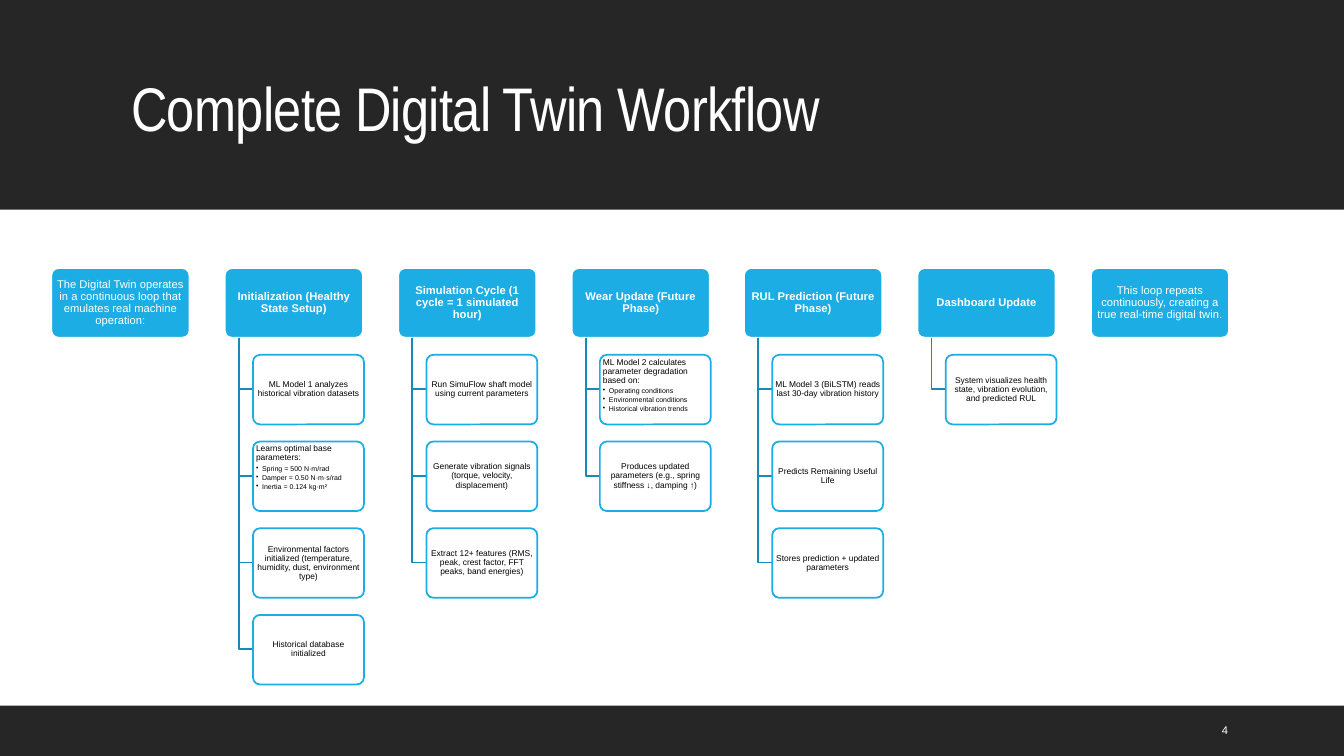
from dataclasses import dataclass

from lxml import etree
from pptx import Presentation
from pptx import util as u
from pptx.dml.color import RGBColor
from pptx.enum import shapes, text
from pptx.oxml import ns
from pptx.shapes.autoshape import Shape
from pptx.slide import Slide
from pptx.text.text import TextFrame

EMU_PER_PX = 9144
SLIDE_WIDTH, SLIDE_HEIGHT = 1333, 750
COLOURS = {
    "band": "262626",
    "stage": "1CADE4",
    "branch": "168BB7",
    "white": "FFFFFF",
    "black": "000000",
}
FIRST_LEFT, LAST_LEFT, STAGE_TOP = 51, 1082, 266
STAGE_WIDTH, STEP_WIDTH, BOX_HEIGHT = 137, 110, 69
STEP_TOP, STEP_PITCH = 352, 86
SPINE_OFFSET, STEP_OFFSET = 14, 28


@dataclass(frozen=True)
class Box:
    left: int
    top: int
    width: int
    height: int


@dataclass(frozen=True)
class Step:
    caption: str
    bullets: tuple[str, ...] = ()


@dataclass(frozen=True)
class Stage:
    heading: str
    steps: tuple[Step, ...] = ()


STAGES = (
    Stage("The Digital Twin operates in a continuous loop that emulates real machine operation:"),
    Stage("Initialization (Healthy State Setup)", (
        Step("ML Model 1 analyzes historical vibration datasets"),
        Step("Learns optimal base parameters:",
             ("Spring = 500 N·m/rad", "Damper = 0.50 N·m·s/rad", "Inertia = 0.124 kg·m²")),
        Step("Environmental factors initialized (temperature, humidity, dust, environment type)"),
        Step("Historical database initialized"),
    )),
    Stage("Simulation Cycle (1 cycle = 1 simulated hour)", (
        Step("Run SimuFlow shaft model using current parameters"),
        Step("Generate vibration signals (torque, velocity, displacement)"),
        Step("Extract 12+ features (RMS, peak, crest factor, FFT peaks, band energies)"),
    )),
    Stage("Wear Update (Future Phase)", (
        Step("ML Model 2 calculates parameter degradation based on:",
             ("Operating conditions", "Environmental conditions", "Historical vibration trends")),
        Step("Produces updated parameters (e.g., spring stiffness ↓, damping ↑)"),
    )),
    Stage("RUL Prediction (Future Phase)", (
        Step("ML Model 3 (BiLSTM) reads last 30-day vibration history"),
        Step("Predicts Remaining Useful Life"),
        Step("Stores prediction + updated parameters"),
    )),
    Stage("Dashboard Update", (
        Step("System visualizes health state, vibration evolution, and predicted RUL"),
    )),
    Stage("This loop repeats continuously, creating a true real-time digital twin."),
)


def px(value: int) -> u.Emu:
    return u.Emu(value * EMU_PER_PX)


def colour(name: str) -> RGBColor:
    return RGBColor.from_string(COLOURS[name])


def place(shape: Shape, box: Box) -> None:
    shape.left, shape.top = px(box.left), px(box.top)
    shape.width, shape.height = px(box.width), px(box.height)


def add_paragraph(frame: TextFrame, content: str, size: float, colour_name: str,
                  first: bool = True, bold: bool = False, font: str = "Arial"):
    paragraph = frame.paragraphs[0] if first else frame.add_paragraph()
    paragraph.text = content
    paragraph.line_spacing = 0.9
    paragraph.font.name = font
    paragraph.font.size = u.Pt(size)
    paragraph.font.bold = bold
    paragraph.font.color.rgb = colour(colour_name)
    return paragraph


def add_band(slide: Slide, box: Box) -> None:
    band = slide.shapes.add_shape(shapes.MSO_SHAPE.RECTANGLE, 0, 0, 0, 0)
    place(band, box)
    band.shadow.inherit = False
    band.fill.solid()
    band.fill.fore_color.rgb = colour("band")
    band.line.fill.background()


def add_card(slide: Slide, box: Box, fill: str, line: str, inset: int) -> Shape:
    card = slide.shapes.add_shape(shapes.MSO_SHAPE.ROUNDED_RECTANGLE, 0, 0, 0, 0)
    place(card, box)
    card.adjustments[0] = 0.1
    card.shadow.inherit = False
    card.fill.solid()
    card.fill.fore_color.rgb = colour(fill)
    card.line.color.rgb = colour(line)
    card.line.width = u.Pt(1.25)
    frame = card.text_frame
    frame.word_wrap = True
    frame.vertical_anchor = text.MSO_ANCHOR.MIDDLE
    frame.margin_left = frame.margin_right = px(inset)
    frame.margin_top = frame.margin_bottom = px(1)
    return card


def add_branch(slide: Slide, left: int, top: int, right: int, bottom: int) -> None:
    builder = slide.shapes.build_freeform(px(left), px(top))
    builder.add_line_segments([(px(left), px(bottom)), (px(right), px(bottom))], close=False)
    branch = builder.convert_to_shape()
    branch.shadow.inherit = False
    branch.fill.background()
    branch.line.color.rgb = colour("branch")
    branch.line.width = u.Pt(1.25)


def add_step(slide: Slide, step: Step, left: int, top: int) -> None:
    card = add_card(slide, Box(left, top, STEP_WIDTH, BOX_HEIGHT), "white", "stage", 1)
    frame = card.text_frame
    caption = add_paragraph(frame, step.caption, 6, "black")
    caption.alignment = text.PP_ALIGN.CENTER
    if step.bullets:
        frame.vertical_anchor = text.MSO_ANCHOR.TOP
        caption.alignment = text.PP_ALIGN.LEFT
        caption.space_after = u.Pt(2)
    for content in step.bullets:
        bullet = add_paragraph(frame, content, 5, "black", first=False)
        bullet.alignment = text.PP_ALIGN.LEFT
        bullet.space_after = u.Pt(1)
        properties = bullet._p.get_or_add_pPr()
        properties.set("marL", str(px(6)))
        properties.set("indent", str(-px(6)))
        marker = etree.Element(ns.qn("a:buChar"), char="•")
        properties.find(ns.qn("a:defRPr")).addprevious(marker)


def add_stage(slide: Slide, stage: Stage, left: int) -> None:
    card = add_card(slide, Box(left, STAGE_TOP, STAGE_WIDTH, BOX_HEIGHT), "stage", "white", 2)
    heading = add_paragraph(card.text_frame, stage.heading, 8, "white", bold=bool(stage.steps))
    heading.alignment = text.PP_ALIGN.CENTER
    step_left = left + STEP_OFFSET
    for row, step in enumerate(stage.steps):
        top = STEP_TOP + row * STEP_PITCH
        add_branch(slide, left + SPINE_OFFSET, STAGE_TOP + BOX_HEIGHT,
                   step_left, top + BOX_HEIGHT // 2)
        add_step(slide, step, step_left, top)


def add_title(slide: Slide, content: str) -> None:
    title = slide.shapes.title
    slide.shapes.element.append(title.element)
    place(title, Box(120, 31, 1100, 159))
    frame = title.text_frame
    frame.auto_size = text.MSO_AUTO_SIZE.NONE
    frame.vertical_anchor = text.MSO_ANCHOR.MIDDLE
    paragraph = add_paragraph(frame, content, 44, "white", font="Arial Narrow")
    paragraph.alignment = text.PP_ALIGN.LEFT
    paragraph.runs[0]._r.get_or_add_rPr().set("spc", "-50")


def add_page_number(slide: Slide, content: str) -> None:
    number = slide.shapes.add_textbox(px(1202), px(705), px(85), px(40))
    number.text_frame.word_wrap = True
    number.text_frame.vertical_anchor = text.MSO_ANCHOR.MIDDLE
    add_paragraph(number.text_frame, content, 8, "white")


def main() -> None:
    presentation = Presentation()
    presentation.slide_width, presentation.slide_height = px(SLIDE_WIDTH), px(SLIDE_HEIGHT)
    slide = presentation.slides.add_slide(presentation.slide_layouts[5])
    add_band(slide, Box(0, 0, SLIDE_WIDTH, 208))
    add_title(slide, "Complete Digital Twin Workflow")
    for column, stage in enumerate(STAGES):
        add_stage(slide, stage,
                  FIRST_LEFT + round((LAST_LEFT - FIRST_LEFT) * column / (len(STAGES) - 1)))
    add_band(slide, Box(0, 700, SLIDE_WIDTH, 50))
    add_page_number(slide, "4")
    presentation.save("out.pptx")


if __name__ == "__main__":
    main()
